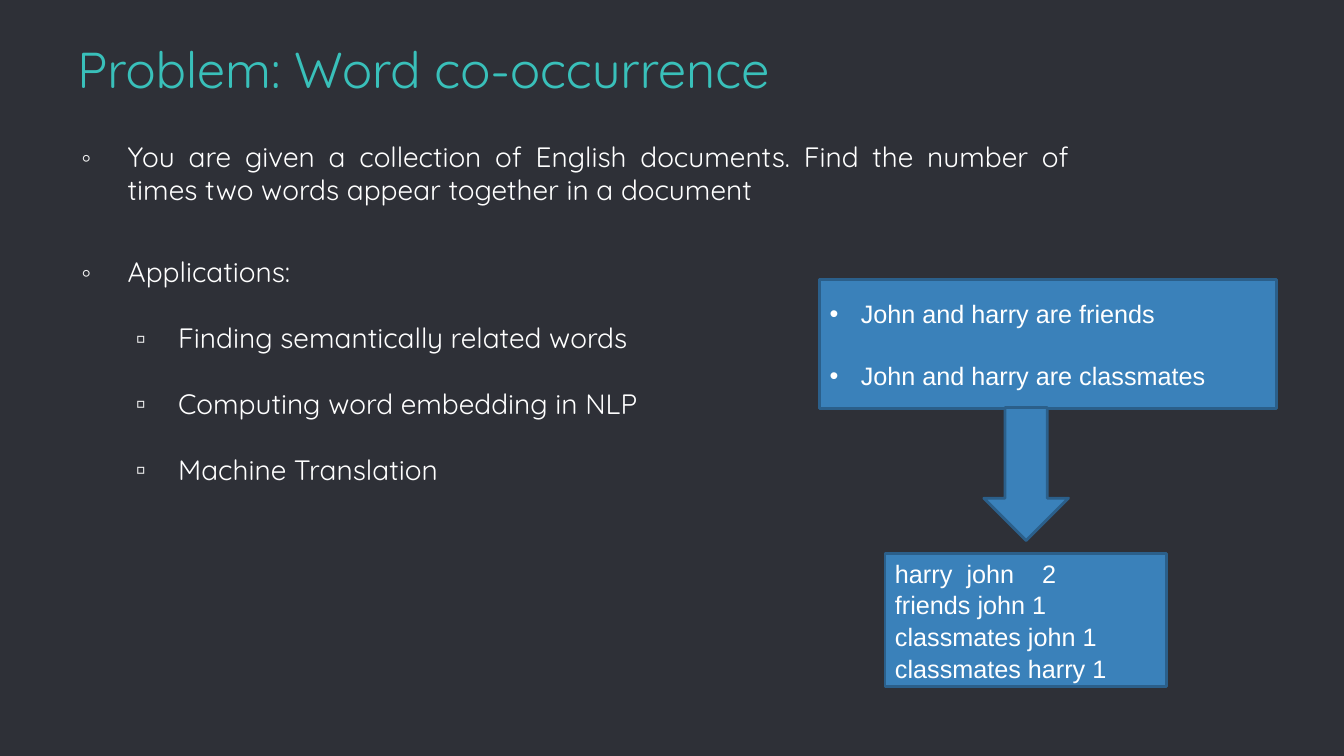
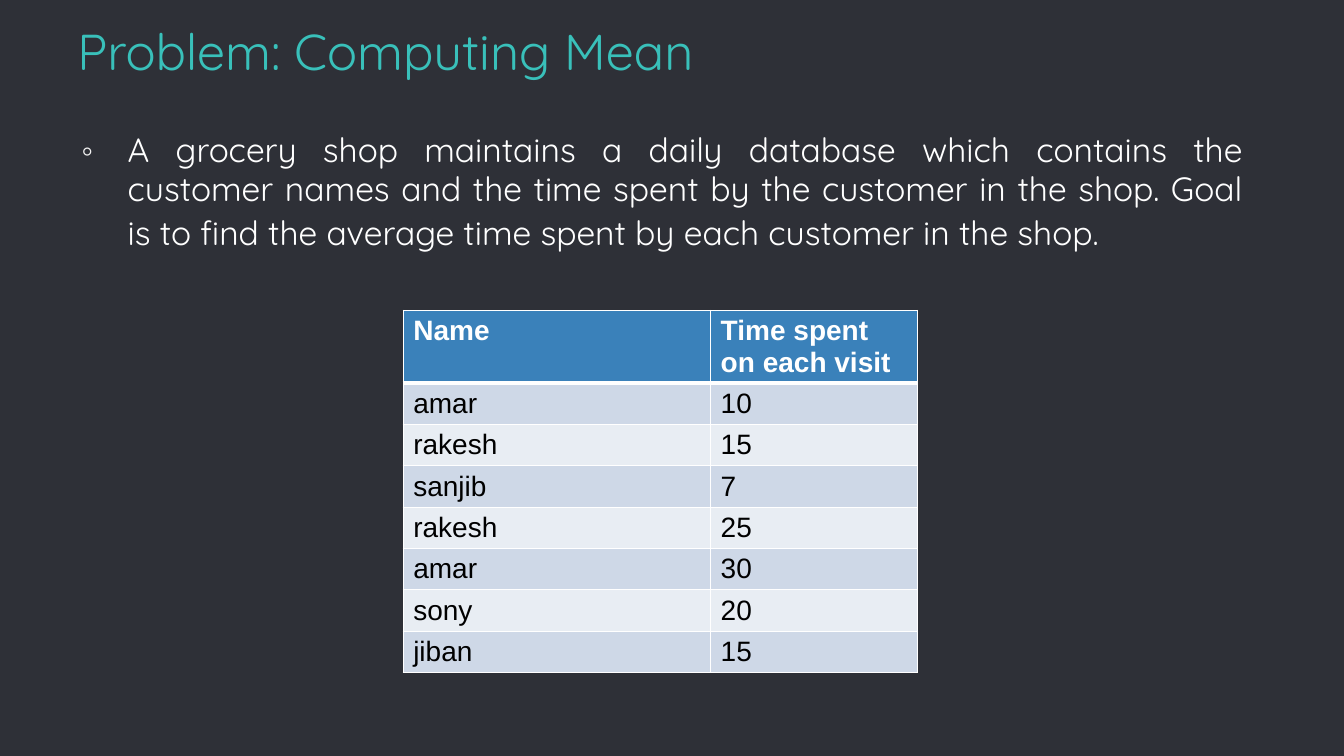
from dataclasses import dataclass

from lxml.etree import SubElement
from pptx import Presentation
from pptx.dml.color import RGBColor
from pptx.enum.shapes import MSO_SHAPE as Preset
from pptx.enum.text import MSO_ANCHOR as Anchor, MSO_AUTO_SIZE as AutoSize, PP_ALIGN as Align
from pptx.oxml.ns import qn
from pptx.util import Inches, Pt

NIGHT = RGBColor(0x2E, 0x30, 0x37)
TEAL = RGBColor(0x39, 0xC0, 0xBA)
WHITE = RGBColor(0xFF, 0xFF, 0xFF)
BLACK = RGBColor(0, 0, 0)
MARKER = RGBColor(0xF3, 0xF3, 0xF3)
BLUE = RGBColor(0x3A, 0x81, 0xBA)
EDGE = RGBColor(0x2B, 0x5F, 0x8A)
BANDS = (RGBColor(0xCE, 0xD8, 0xE7), RGBColor(0xE8, 0xED, 0xF3))

DISPLAY, PLAIN = "Quicksand", "Arial"
SLIDE_W, SLIDE_H = Inches(13.33), Inches(7.5)


def across(percent: float) -> int:
    return round(SLIDE_W * percent / 100)


def down(percent: float) -> int:
    return round(SLIDE_H * percent / 100)


@dataclass(frozen=True)
class Area:
    """A rectangle in percent of the slide's width and height."""
    left: float
    top: float
    width: float
    height: float

    def emu(self) -> tuple[int, int, int, int]:
        return across(self.left), down(self.top), across(self.width), down(self.height)


@dataclass(frozen=True)
class Bullet:
    char: str
    left: float
    hang: float
    color: RGBColor


@dataclass(frozen=True)
class Item:
    """One paragraph: its (text, size) runs, bullet, level and space before."""
    runs: tuple[tuple[str, float], ...]
    bullet: Bullet | None = None
    level: int = 0
    before: float = 0
    tabs: tuple[float, ...] = ()


RING = Bullet("◦", 0.5, 0.46, MARKER)
SQUARE = Bullet("▫", 1, 0.42, MARKER)
DOT = Bullet("•", 0.31, 0.31, WHITE)


def add_run(paragraph, text: str, size: float, font: str, color: RGBColor, bold: bool = False) -> None:
    run = paragraph.add_run()
    run.text = text
    run.font.size, run.font.name, run.font.bold = Pt(size), font, bold
    run.font.color.rgb = color


def set_bullet(paragraph, bullet: Bullet) -> None:
    props = paragraph._p.get_or_add_pPr()
    props.set("marL", str(Inches(bullet.left)))
    props.set("indent", str(-Inches(bullet.hang)))
    SubElement(SubElement(props, qn("a:buClr")), qn("a:srgbClr"), val=str(bullet.color))
    SubElement(props, qn("a:buFont"), typeface="Arial")
    SubElement(props, qn("a:buChar"), char=bullet.char)


def write_items(frame, items: list[Item], font: str, align: Align, line_spacing: float) -> None:
    for index, item in enumerate(items):
        paragraph = frame.add_paragraph() if index else frame.paragraphs[0]
        paragraph.level, paragraph.alignment = item.level, align
        paragraph.space_before, paragraph.line_spacing = Pt(item.before), line_spacing
        if item.bullet:
            set_bullet(paragraph, item.bullet)
        if item.tabs:
            stops = SubElement(paragraph._p.get_or_add_pPr(), qn("a:tabLst"))
            for stop in item.tabs:
                SubElement(stops, qn("a:tab"), pos=str(Inches(stop)), algn="l")
        for text, size in item.runs:
            add_run(paragraph, text, size, font, WHITE)


def place(placeholder, area: Area, anchor: Anchor):
    """Moves a placeholder, evens out its margins and returns its text frame."""
    placeholder.left, placeholder.top, placeholder.width, placeholder.height = area.emu()
    frame = placeholder.text_frame
    frame.margin_left = frame.margin_right = frame.margin_top = frame.margin_bottom = Inches(0.1)
    frame.vertical_anchor, frame.auto_size, frame.word_wrap = anchor, AutoSize.NONE, True
    return frame


def add_problem(prs, topic: str, title_top: float, body: Area, items: list[Item]):
    slide = prs.slides.add_slide(prs.slide_layouts[1])
    heading = place(slide.shapes.title, Area(5, title_top, 90, 7.87), Anchor.BOTTOM).paragraphs[0]
    heading.alignment = Align.LEFT
    add_run(heading, f"Problem: {topic}", 36, DISPLAY, TEAL)
    frame = place(slide.placeholders[1], body, Anchor.TOP)
    write_items(frame, items, DISPLAY, Align.JUSTIFY, 0.96)
    return slide


def add_block(slide, preset: Preset, area: Area, items: list[Item]) -> None:
    block = slide.shapes.add_shape(preset, *area.emu())
    block.shadow.inherit = False
    block.fill.solid()
    block.fill.fore_color.rgb = BLUE
    block.line.color.rgb, block.line.width = EDGE, Pt(2)
    block.text_frame.vertical_anchor, block.text_frame.word_wrap = Anchor.MIDDLE, True
    write_items(block.text_frame, items, PLAIN, Align.LEFT, 1.05)


def set_borders(cell, bottom: float) -> None:
    props = cell._tc.get_or_add_tcPr()
    for position, (side, width) in enumerate((("L", 1), ("R", 1), ("T", 1), ("B", bottom))):
        line = SubElement(props, qn(f"a:ln{side}"), w=str(Pt(width)))
        SubElement(SubElement(line, qn("a:solidFill")), qn("a:srgbClr"), val=str(WHITE))
        props.insert(position, line)


def add_visits(slide, left: float, top: float, columns: tuple[float, ...],
               head_height: float, row_height: float, rows: list[tuple[str, ...]]) -> None:
    area = Area(left, top, sum(columns), head_height + row_height * (len(rows) - 1))
    table = slide.shapes.add_table(len(rows), len(columns), *area.emu()).table
    for column, width in zip(table.columns, columns):
        column.width = across(width)
    for r, values in enumerate(rows):
        is_head = r == 0
        table.rows[r].height = down(head_height if is_head else row_height)
        for c, value in enumerate(values):
            cell = table.cell(r, c)
            cell.fill.solid()
            cell.fill.fore_color.rgb = BLUE if is_head else BANDS[(r - 1) % 2]
            set_borders(cell, 3 if r == 0 else 1)
            for n, line in enumerate(value.split("\n")):
                frame = cell.text_frame
                paragraph = frame.add_paragraph() if n else frame.paragraphs[0]
                add_run(paragraph, line, 20, PLAIN, WHITE if is_head else BLACK, is_head)


def build_cooccurrence(prs) -> None:
    uses = ("Finding semantically related words", "Computing word embedding in NLP",
            "Machine Translation")
    task = ("You are given a collection of English documents. Find the number of "
            "times two words appear together in a document")
    slide = add_problem(prs, "Word co-occurrence", 6.53, Area(5, 17.47, 75.3, 52.53), [
        Item(((task, 20),), RING, before=6),
        Item((("Applications:", 20),), RING, before=36),
        *(Item(((use, 20),), SQUARE, level=1, before=24) for use in uses),
    ])
    add_block(slide, Preset.RECTANGLE, Area(60.98, 36.93, 33.98, 17.07), [
        Item((("John and harry are friends", 18),), DOT),
        Item((("John and harry are classmates", 18),), DOT, before=21.6),
    ])
    add_block(slide, Preset.DOWN_ARROW, Area(73.2, 53.9, 6.3, 17.6), [])
    add_block(slide, Preset.RECTANGLE, Area(65.85, 73.2, 20.93, 17.6), [
        Item((("harry\tjohn\t2", 18),), tabs=(0.71, 1.46)),
        *(Item(((count, 18),)) for count in
          ("friends john 1", "classmates john 1", "classmates harry 1")),
    ])


def build_mean(prs) -> None:
    task = ("A grocery shop maintains a daily database which contains the customer names "
            "and the time spent by the customer in the shop. Goal is to find the average "
            "time spent by each customer in the shop.")
    slide = add_problem(prs, "Computing Mean", 4.13, Area(5, 16.13, 88.2, 75.6), [
        Item(((task, 24), (" ", 28)), RING, before=6),
    ])
    add_visits(slide, 30, 41.07, (22.88, 15.38), 9.6, 5.47, [
        ("Name", "Time spent\non each visit"),
        ("amar", "10"), ("rakesh", "15"), ("sanjib", "7"), ("rakesh", "25"),
        ("amar", "30"), ("sony", "20"), ("jiban", "15"),
    ])


def main() -> None:
    prs = Presentation()
    prs.slide_width, prs.slide_height = SLIDE_W, SLIDE_H
    backdrop = prs.slide_master.background.fill
    backdrop.solid()
    backdrop.fore_color.rgb = NIGHT
    build_cooccurrence(prs)
    build_mean(prs)
    prs.save("out.pptx")


if __name__ == "__main__":
    main()
